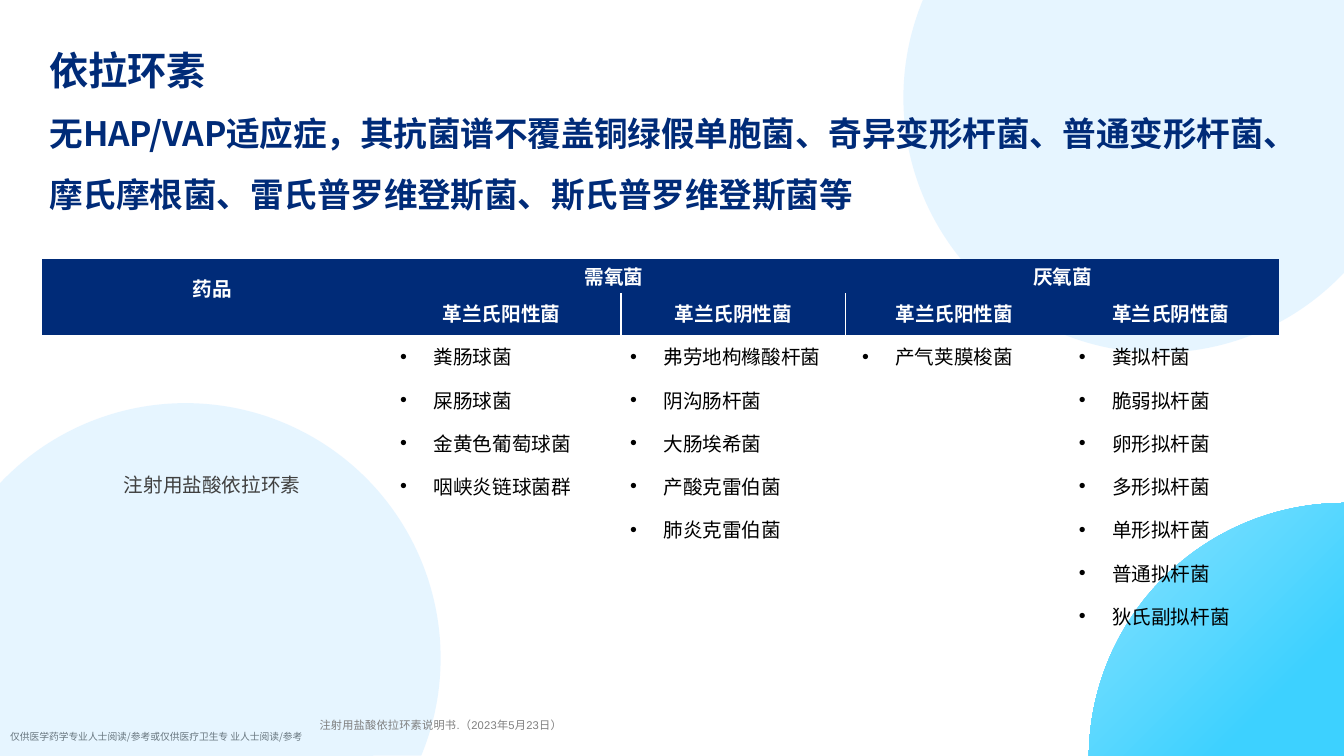
from math import cos, radians, sin

from lxml import etree
from pptx import Presentation
from pptx.dml.color import RGBColor
from pptx.enum.text import MSO_ANCHOR, PP_ALIGN
from pptx.oxml.ns import qn
from pptx.util import Inches, Pt

CENTER, LEFT = PP_ALIGN.CENTER, PP_ALIGN.LEFT
MIDDLE, TOP = MSO_ANCHOR.MIDDLE, MSO_ANCHOR.TOP

NAVY = RGBColor(0x00, 0x2B, 0x78)
PALE_BLUE = RGBColor(0xCF, 0xEC, 0xFF)
SKY = RGBColor(0x8B, 0xE3, 0xFF)
CYAN = RGBColor(0x3D, 0xD1, 0xFF)
WHITE = RGBColor(0xFF, 0xFF, 0xFF)
BLACK = RGBColor(0x00, 0x00, 0x00)
DARK_GREY = RGBColor(0x40, 0x40, 0x40)
GREY = RGBColor(0x7F, 0x7F, 0x7F)
CJK_FONT, LATIN_FONT = "Noto Sans CJK SC", "Arial"
NO_STYLE = "{2D5ABB26-0587-4C30-8999-92F81FD0307C}"

SLIDE_W, SLIDE_H = 13.33, 7.5
RADIUS = 2.53
# Circle center, angles that split its visible arc, slide corner it covers
PALE_CIRCLES = [
    ((1.84, 6.53), (223.3, 270, 360, 382.5), (0, SLIDE_H)),
    ((11.49, 0.97), (43.3, 90, 180, 202.5), (SLIDE_W, 0)),
]
BRIGHT_CIRCLE = ((13.33, 7.52), (180.5, 270), (SLIDE_W, SLIDE_H))

TITLE = "依拉环素"
SUBTITLE = (
    "无HAP/VAP适应症，其抗菌谱不覆盖铜绿假单胞菌、奇异变形杆菌、普通变形杆菌、"
    "摩氏摩根菌、雷氏普罗维登斯菌、斯氏普罗维登斯菌等"
)
AUDIENCE = "仅供医学药学专业人士阅读/参考或仅供医疗卫生专 业人士阅读/参考"
REFERENCE = "注射用盐酸依拉环素说明书.（2023年5月23日）"

DRUG_HEADER, DRUG = "药品", "注射用盐酸依拉环素"
GROUPS = ["需氧菌", "厌氧菌"]
STAINS = ["革兰氏阳性菌", "革兰氏阴性菌"]
BACTERIA = [
    ["粪肠球菌", "屎肠球菌", "金黄色葡萄球菌", "咽峡炎链球菌群"],
    ["弗劳地枸橼酸杆菌", "阴沟肠杆菌", "大肠埃希菌", "产酸克雷伯菌", "肺炎克雷伯菌"],
    ["产气荚膜梭菌"],
    ["粪拟杆菌", "脆弱拟杆菌", "卵形拟杆菌", "多形拟杆菌", "单形拟杆菌",
     "普通拟杆菌", "狄氏副拟杆菌"],
]
BULLET_LEFTS = [0.18, 0.09, 0.16, 0.16]
BULLET_HANG = 0.33
COLUMN_WIDTHS = [3.37, 2.37, 2.23, 2.15, 2.15]
ROW_HEIGHTS = [0.34, 0.37, 3.1]


def style(paragraph, size, color, bold=False, latin=CJK_FONT, spacing=0):
    """Format all runs; spacing is in hundredths of a point."""
    for run in paragraph.runs:
        font = run.font
        font.size, font.bold, font.name = Pt(size), bold, latin
        font.color.rgb = color
        props = run._r.get_or_add_rPr()
        props.set("spc", str(spacing))
        etree.SubElement(props, qn("a:ea")).set("typeface", CJK_FONT)


def add_text(slide, left, top, width, height, lines):
    frame = slide.shapes.add_textbox(
        Inches(left), Inches(top), Inches(width), Inches(height)).text_frame
    frame.word_wrap = True
    frame.margin_left = frame.margin_right = 0
    frame.margin_top = frame.margin_bottom = 0
    frame.text = "\n".join(lines)
    return frame.paragraphs


def add_clipped_circle(slide, center, angles, corner):
    """Draw the part of a circle that lies on the slide."""
    points = [(center[0] + RADIUS * cos(radians(angle)),
               center[1] + RADIUS * sin(radians(angle))) for angle in angles]
    points = [(Inches(x), Inches(y)) for x, y in points + [corner]]
    builder = slide.shapes.build_freeform(*points[0])
    builder.add_line_segments(points[1:], close=True)
    circle = builder.convert_to_shape()
    sides = list(circle._element.iter(qn("a:lnTo")))
    for side, start, end in zip(sides, angles, angles[1:]):
        arc = etree.Element(
            qn("a:arcTo"), wR=str(Inches(RADIUS)), hR=str(Inches(RADIUS)),
            stAng=str(round(start * 60000)), swAng=str(round((end - start) * 60000)))
        side.getparent().replace(side, arc)
    circle.shadow.inherit = False
    circle.line.fill.background()
    return circle


def add_background(slide):
    for pale_circle in PALE_CIRCLES:
        fill = add_clipped_circle(slide, *pale_circle).fill
        fill.solid()
        fill.fore_color.rgb = PALE_BLUE
        color = fill._xPr.find(qn("a:solidFill"))[0]
        etree.SubElement(color, qn("a:alpha")).set("val", "50000")
    fill = add_clipped_circle(slide, *BRIGHT_CIRCLE).fill
    fill.gradient()
    fill.gradient_angle = 315
    for stop, color, position in zip(fill.gradient_stops, (SKY, CYAN), (0, 0.76)):
        stop.color.rgb = color
        stop.position = position


def fill_cell(cell, lines, color, background=None, bold=False,
              align=CENTER, anchor=MIDDLE, top=0, bottom=0):
    cell.margin_left = cell.margin_right = 0
    cell.margin_top, cell.margin_bottom = Inches(top), Inches(bottom)
    cell.vertical_anchor = anchor
    cell.text_frame.text = "\n".join(lines)
    for paragraph in cell.text_frame.paragraphs:
        paragraph.alignment = align
        style(paragraph, 14, color, bold, spacing=-10 if bold else 0)
    if background is None:
        cell.fill.background()
    else:
        cell.fill.solid()
        cell.fill.fore_color.rgb = background


def add_bullets(cell, left):
    for paragraph in cell.text_frame.paragraphs:
        paragraph.space_after = Pt(10.5)
        props = paragraph._p.get_or_add_pPr()
        props.set("marL", str(Inches(left + BULLET_HANG)))
        props.set("indent", str(-Inches(BULLET_HANG)))
        etree.SubElement(props, qn("a:buFont")).set("typeface", LATIN_FONT)
        etree.SubElement(props, qn("a:buChar")).set("char", "•")


def add_left_border(cell):
    props = cell._tc.get_or_add_tcPr()
    border = etree.Element(qn("a:lnL"), w=str(Pt(1)))
    solid = etree.SubElement(border, qn("a:solidFill"))
    etree.SubElement(solid, qn("a:srgbClr")).set("val", str(WHITE))
    props.insert(0, border)


def add_spectrum_table(slide):
    table = slide.shapes.add_table(
        len(ROW_HEIGHTS), len(COLUMN_WIDTHS), Inches(0.42), Inches(2.57),
        Inches(sum(COLUMN_WIDTHS)), Inches(sum(ROW_HEIGHTS))).table
    table.first_row = table.horz_banding = False
    table._tbl.tblPr.find(qn("a:tableStyleId")).text = NO_STYLE
    for column, width in zip(table.columns, COLUMN_WIDTHS):
        column.width = Inches(width)
    for row, height in zip(table.rows, ROW_HEIGHTS):
        row.height = Inches(height)

    header = {"color": WHITE, "background": NAVY, "bold": True}
    table.cell(0, 0).merge(table.cell(1, 0))
    fill_cell(table.cell(0, 0), [DRUG_HEADER], bottom=0.18, **header)
    for index, group in enumerate(GROUPS):
        first = 1 + index * len(STAINS)
        table.cell(0, first).merge(table.cell(0, first + 1))
        fill_cell(table.cell(0, first), [group], **header)
        for offset, stain in enumerate(STAINS):
            fill_cell(table.cell(1, first + offset), [stain], bottom=0.03, **header)
    add_left_border(table.cell(1, 2))

    fill_cell(table.cell(2, 0), [DRUG], DARK_GREY, bottom=0.14)
    for column, (names, left) in enumerate(zip(BACTERIA, BULLET_LEFTS), start=1):
        cell = table.cell(2, column)
        fill_cell(cell, names, BLACK, align=LEFT, anchor=TOP, top=0.07)
        add_bullets(cell, left)


def main():
    deck = Presentation()
    deck.slide_width, deck.slide_height = Inches(SLIDE_W), Inches(SLIDE_H)
    slide = deck.slides.add_slide(deck.slide_layouts[6])

    audience, = add_text(slide, 0.1, 7.25, 11.3, 0.18, [AUDIENCE])
    style(audience, 7, BLACK)
    add_background(slide)

    heading = add_text(slide, 0.49, 0.33, 12.42, 1.8, [TITLE, SUBTITLE])
    for paragraph, size in zip(heading, (28, 24)):
        paragraph.line_spacing = Pt(43)
        style(paragraph, size, NAVY, bold=True, spacing=-10)

    reference, = add_text(slide, 3.17, 7.13, 8.9, 0.2, [REFERENCE])
    style(reference, 8, GREY, latin=LATIN_FONT, spacing=10)
    add_spectrum_table(slide)
    deck.save("out.pptx")


if __name__ == "__main__":
    main()
